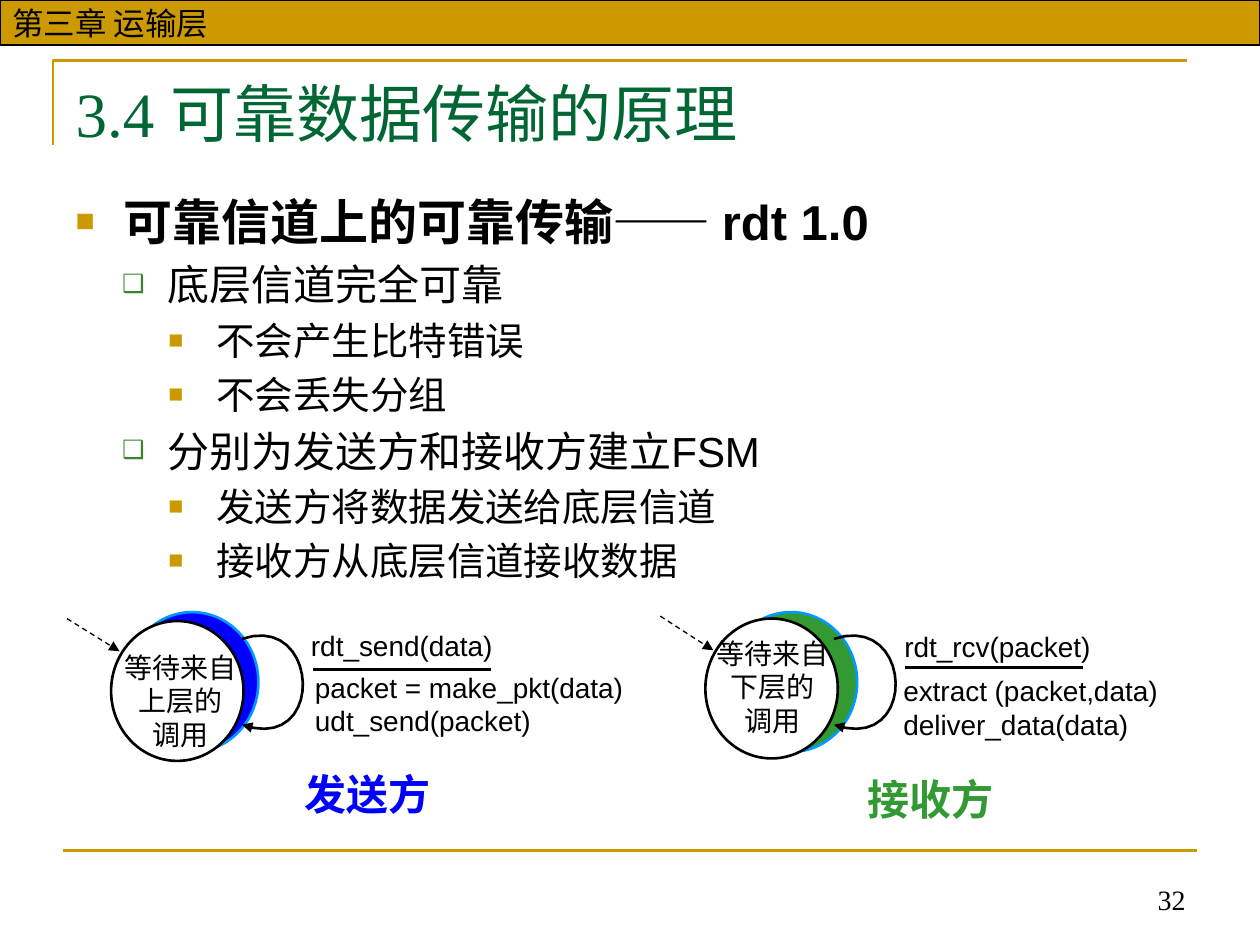
from lxml.etree import SubElement
from pptx import Presentation
from pptx.dml.color import RGBColor
from pptx.enum.dml import MSO_LINE
from pptx.enum.shapes import MSO_CONNECTOR, MSO_SHAPE
from pptx.enum.text import MSO_ANCHOR, MSO_AUTO_SIZE, PP_ALIGN
from pptx.oxml.ns import qn
from pptx.util import Cm, Pt

GOLD = RGBColor(0xCC, 0x99, 0x00)
BLACK = RGBColor(0x00, 0x00, 0x00)
WHITE = RGBColor(0xFF, 0xFF, 0xFF)
TITLE_GREEN = RGBColor(0x00, 0x66, 0x33)
BULLET_GREEN = RGBColor(0x3B, 0x81, 0x2F)
GREEN = RGBColor(0x33, 0x99, 0x33)
BLUE = RGBColor(0x00, 0x00, 0xFF)
SKY = RGBColor(0x00, 0x99, 0xFF)


def style_line(shape, color, width=1.5, dashed=False, arrow=False):
    shape.line.color.rgb = color
    shape.line.width = Pt(width)
    if dashed:
        shape.line.dash_style = MSO_LINE.DASH
    properties = shape._element.spPr
    if arrow:
        SubElement(properties.find(qn("a:ln")), qn("a:tailEnd"), type="triangle")
    SubElement(properties, qn("a:effectLst"))


def write(frame, lines, size, color=BLACK, font="Arial", bold=False, align=PP_ALIGN.LEFT):
    for number, line in enumerate(lines):
        para = frame.add_paragraph() if number else frame.paragraphs[0]
        para.alignment = align
        span = para.add_run()
        span.text = line
        span.font.size = Pt(size)
        span.font.name = font
        span.font.bold = bold
        span.font.color.rgb = color


deck = Presentation()
deck.slide_width, deck.slide_height = Cm(25.4), Cm(19.05)
page = deck.slides.add_slide(deck.slide_layouts[1])
shapes = page.shapes

# Gold frame lines
builder = shapes.build_freeform(Cm(1.07), Cm(2.92), 1.0)
builder.add_line_segments([(Cm(1.07), Cm(1.22)), (Cm(23.93), Cm(1.22))], close=False)
corner = builder.convert_to_shape()
corner.fill.background()
style_line(corner, GOLD)
footer_line = shapes.add_connector(
    MSO_CONNECTOR.STRAIGHT, Cm(1.27), Cm(17.15), Cm(24.13), Cm(17.15))
style_line(footer_line, GOLD)

# Chapter band
band = shapes.add_shape(MSO_SHAPE.RECTANGLE, 0, 0, Cm(25.4), Cm(0.91))
band.fill.solid()
band.fill.fore_color.rgb = GOLD
style_line(band, BLACK, 0.75)
band.text_frame.word_wrap = False
band.text_frame.vertical_anchor = MSO_ANCHOR.MIDDLE
write(band.text_frame, ["第三章 运输层"], 18)

# Page number
box = shapes.add_textbox(Cm(16.1), Cm(17.32), Cm(8.05), Cm(1.27))
box.text_frame.word_wrap = True
box.text_frame.vertical_anchor = MSO_ANCHOR.BOTTOM
write(box.text_frame, ["32"], 16, font="Times New Roman", align=PP_ALIGN.RIGHT)

# Title
title = shapes.title
title.left, title.top, title.width, title.height = Cm(1.27), Cm(1.37), Cm(22.86), Cm(1.96)
title.text_frame.vertical_anchor = MSO_ANCHOR.TOP
title.text_frame.auto_size = MSO_AUTO_SIZE.NONE
write(title.text_frame, ["3.4 可靠数据传输的原理"], 36, TITLE_GREEN, "Times New Roman")

# Bulleted list: size, left margin, hanging indent, bullet, bullet colour, bullet percent
LEVELS = [
    (28, 0.97, 0.97, "■", GOLD, 65),
    (24, 1.85, 0.91, "❑", BULLET_GREEN, 60),
    (22, 2.84, 0.97, "■", GOLD, 65),
]
ITEMS = [
    (0, "可靠信道上的可靠传输—— rdt 1.0"),
    (1, "底层信道完全可靠"),
    (2, "不会产生比特错误"),
    (2, "不会丢失分组"),
    (1, "分别为发送方和接收方建立FSM"),
    (2, "发送方将数据发送给底层信道"),
    (2, "接收方从底层信道接收数据"),
]
body = page.placeholders[1]
body.left, body.top, body.width, body.height = Cm(1.27), Cm(3.73), Cm(22.86), Cm(8.41)
body.text_frame.auto_size = MSO_AUTO_SIZE.NONE
write(body.text_frame, [text for level, text in ITEMS], 24)
for para, (level, text) in zip(body.text_frame.paragraphs, ITEMS):
    size, margin, hanging, bullet, color, percent = LEVELS[level]
    para.level = level
    para.runs[0].font.size = Pt(size)
    para.runs[0].font.bold = level == 0
    properties = para._p.get_or_add_pPr()
    properties.set("marL", str(Cm(margin)))
    properties.set("indent", str(-Cm(hanging)))
    SubElement(SubElement(properties, qn("a:buClr")), qn("a:srgbClr"), val=str(color))
    SubElement(properties, qn("a:buSzPct"), val=str(percent * 1000))
    SubElement(properties, qn("a:buChar"), char=bullet)

# State machines of the two sides, positions in centimetres
MACHINES = [
    dict(name="发送方", color=BLUE, state=["等待来自上层的", "调用"],
         event="rdt_send(data)", actions=["packet = make_pkt(data)", "udt_send(packet)"],
         back=(2.54, 12.34), front=(2.24, 12.52), state_at=(2.11, 12.98),
         curve=[(4.88, 12.88), (6.45, 12.34), (6.58, 15.21), (4.88, 14.61)],
         entry=(1.35, 12.47, 2.41, 13.13), rule=(6.3, 13.49),
         event_at=(6.02, 12.55), action_at=(6.1, 13.39), name_at=(5.87, 15.37)),
    dict(name="接收方", color=GREEN, state=["等待来自下层的", "调用"],
         event="rdt_rcv(packet)", actions=["extract (packet,data)", "deliver_data(data)"],
         back=(14.61, 12.34), front=(14.22, 12.47), state_at=(14.05, 12.7),
         curve=[(16.81, 12.88), (18.42, 12.34), (18.52, 15.21), (16.81, 14.61)],
         entry=(13.31, 12.42, 14.38, 13.11), rule=(18.24, 13.46),
         event_at=(17.98, 12.57), action_at=(17.96, 13.46), name_at=(17.22, 15.47)),
]
CURVE_STEPS = 20

for machine in MACHINES:
    # State circle over its coloured disc
    for (x, y), fill, outline in ((machine["back"], machine["color"], SKY),
                                  (machine["front"], WHITE, BLACK)):
        circle = shapes.add_shape(MSO_SHAPE.OVAL, Cm(x), Cm(y), Cm(2.67), Cm(2.82))
        circle.fill.solid()
        circle.fill.fore_color.rgb = fill
        style_line(circle, outline)

    # Entry arrow and the rule between event and actions
    entry = shapes.add_connector(
        MSO_CONNECTOR.STRAIGHT, *[Cm(value) for value in machine["entry"]])
    style_line(entry, BLACK, 0.75, dashed=True, arrow=True)
    x, y = machine["rule"]
    rule = shapes.add_connector(MSO_CONNECTOR.STRAIGHT, Cm(x), Cm(y), Cm(x + 3.6), Cm(y))
    style_line(rule, BLACK)

    # Self-transition along a cubic curve
    points = []
    for step in range(CURVE_STEPS + 1):
        t = step / CURVE_STEPS
        weights = ((1 - t) ** 3, 3 * t * (1 - t) ** 2, 3 * t ** 2 * (1 - t), t ** 3)
        points.append(tuple(
            Cm(sum(weight * point[axis] for weight, point in zip(weights, machine["curve"])))
            for axis in (0, 1)))
    builder = shapes.build_freeform(*points[0], 1.0)
    builder.add_line_segments(points[1:], close=False)
    transition = builder.convert_to_shape()
    transition.fill.background()
    style_line(transition, BLACK, arrow=True)

    # Labels: position, width, height, lines, size, colour, bold, alignment
    for (x, y), width, height, lines, size, color, bold, align in (
        (machine["state_at"], 3.05, 2.54, machine["state"], 16, BLACK, False, PP_ALIGN.CENTER),
        (machine["event_at"], 4.8, 0.94, [machine["event"]], 16, BLACK, False, PP_ALIGN.LEFT),
        (machine["action_at"], 7.2, 1.65, machine["actions"], 16, BLACK, False, PP_ALIGN.LEFT),
        (machine["name_at"], 3.07, 1.27, [machine["name"]], 24, machine["color"], True,
         PP_ALIGN.CENTER),
    ):
        box = shapes.add_textbox(Cm(x), Cm(y), Cm(width), Cm(height))
        box.text_frame.word_wrap = True
        write(box.text_frame, lines, size, color, bold=bold, align=align)

deck.save("out.pptx")
